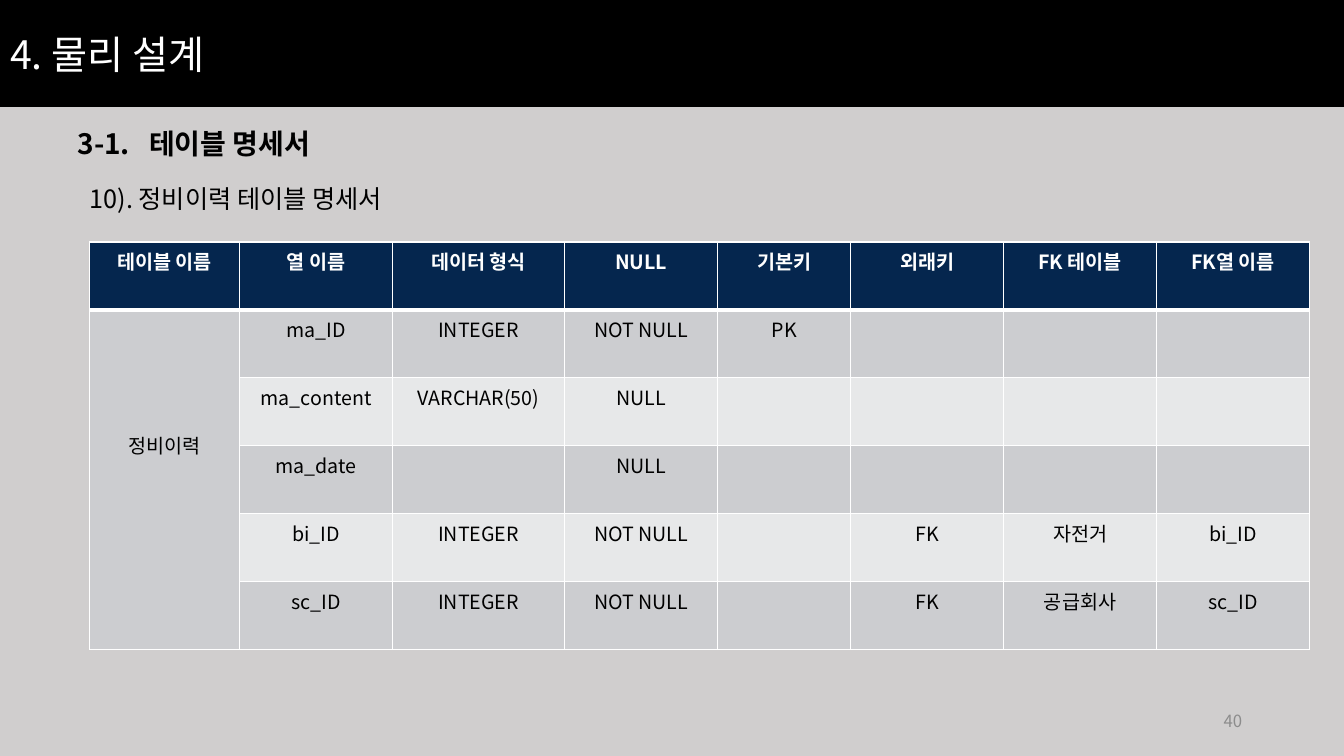
from dataclasses import dataclass

import pptx
import pptx.dml.color
import pptx.enum.text
import pptx.oxml
import pptx.oxml.ns
import pptx.util

ALIGN = pptx.enum.text.PP_ALIGN
ANCHOR = pptx.enum.text.MSO_ANCHOR


@dataclass(frozen=True)
class Theme:
    font: str = "Noto Sans CJK KR"
    background: str = "D0CECE"
    banner: str = "000000"
    ink: str = "000000"
    light: str = "FFFFFF"
    muted: str = "8C8C8C"
    header: str = "05264E"
    bands: tuple = ("CCCDD0", "E7E8E9")
    title_size: int = 28
    section_size: int = 20
    topic_size: int = 18
    table_size: int = 14
    number_size: int = 12


THEME = Theme()


def rgb(code):
    return pptx.dml.color.RGBColor.from_string(code)


def paint(target, color):
    target.fill.solid()
    target.fill.fore_color.rgb = rgb(color)


def write(frame, text, size, color=THEME.ink, bold=False, align=ALIGN.LEFT, tab=None):
    paragraph = frame.paragraphs[0]
    paragraph.alignment = align
    if tab:
        stops = pptx.oxml.ns.qn("a:tabLst")
        tab_list = paragraph._p.get_or_add_pPr().makeelement(stops, {})
        paragraph._p.get_or_add_pPr().append(tab_list)
        stop = tab_list.makeelement(
            pptx.oxml.ns.qn("a:tab"), {"pos": str(pptx.util.Inches(tab)), "algn": "l"})
        tab_list.append(stop)
    run = paragraph.add_run()
    run.text = text
    run.font.size = pptx.util.Pt(size)
    run.font.bold = bold
    run.font.color.rgb = rgb(color)
    run.font.name = THEME.font
    properties = run._r.get_or_add_rPr()
    east_asian = properties.makeelement(
        pptx.oxml.ns.qn("a:ea"), {"typeface": THEME.font})
    properties.find(pptx.oxml.ns.qn("a:latin")).addnext(east_asian)


def outline(cell, color, bottom=1):
    properties = cell._tc.get_or_add_tcPr()
    widths = {"lnL": 1, "lnR": 1, "lnT": 1, "lnB": bottom}
    for position, (side, width) in enumerate(widths.items()):
        properties.insert(position, pptx.oxml.parse_xml(
            f'<a:{side} {pptx.oxml.ns.nsdecls("a")} w="{pptx.util.Pt(width)}">'
            f'<a:solidFill><a:srgbClr val="{color}"/></a:solidFill></a:{side}>'))


class Page:
    def __init__(self, deck, theme):
        self.theme = theme
        self.width, self.height = deck.slide_width, deck.slide_height
        self.slide = deck.slides.add_slide(deck.slide_layouts[5])
        paint(self.slide.background, theme.background)

    def box(self, left, top, width, height):
        return (int(self.width * left / 100), int(self.height * top / 100),
                int(self.width * width / 100), int(self.height * height / 100))

    def title(self, text, *area):
        banner = self.slide.shapes.title
        banner.left, banner.top, banner.width, banner.height = self.box(*area)
        paint(banner, self.theme.banner)
        banner.text_frame.vertical_anchor = ANCHOR.MIDDLE
        write(banner.text_frame, text, self.theme.title_size, self.theme.light)

    def text(self, text, size, *area, anchor=ANCHOR.TOP, **style):
        frame = self.slide.shapes.add_textbox(*self.box(*area)).text_frame
        frame.word_wrap = True
        frame.vertical_anchor = anchor
        write(frame, text, size, **style)

    def table(self, headings, records, weights, *area):
        left, top, width, height = self.box(*area)
        row_count = len(records) + 1
        grid = self.slide.shapes.add_table(
            row_count, len(headings), left, top, width, height).table
        for column, weight in zip(grid.columns, weights):
            column.width = int(width * weight / sum(weights))
        for row in grid.rows:
            row.height = height // row_count
        for r, values in enumerate([headings, *records]):
            heading = r == 0
            fill = self.theme.header if heading else self.theme.bands[(r - 1) % 2]
            for c, value in enumerate(values):
                cell = grid.cell(r, c)
                paint(cell, fill)
                outline(cell, self.theme.light, bottom=3 if heading else 1)
                if value:
                    write(cell.text_frame, value, self.theme.table_size,
                          self.theme.light if heading else self.theme.ink,
                          bold=heading, align=ALIGN.CENTER)
        return grid


def main():
    deck = pptx.Presentation()
    deck.slide_width = pptx.util.Inches(13.33)
    deck.slide_height = pptx.util.Inches(7.5)
    page = Page(deck, THEME)

    page.title("4. 물리 설계", 0, 0, 100, 14.13)
    page.text("3-1.\t테이블 명세서", THEME.section_size,
              5.03, 16.13, 19.43, 5.87, bold=True, tab=0.71)
    page.text("10). 정비이력 테이블 명세서", THEME.topic_size, 5.93, 23.6, 25.66, 5.33)

    headings = ["테이블 이름", "열 이름", "데이터 형식", "NULL",
                "기본키", "외래키", "FK 테이블", "FK열 이름"]
    records = [
        ["정비이력", "ma_ID", "INTEGER", "NOT NULL", "PK", "", "", ""],
        ["", "ma_content", "VARCHAR(50)", "NULL", "", "", "", ""],
        ["", "ma_date", "", "NULL", "", "", "", ""],
        ["", "bi_ID", "INTEGER", "NOT NULL", "", "FK", "자전거", "bi_ID"],
        ["", "sc_ID", "INTEGER", "NOT NULL", "", "FK", "공급회사", "sc_ID"],
    ]
    weights = [1.49, 1.52, 1.71, 1.52, 1.32, 1.52, 1.52, 1.52]
    specification = page.table(headings, records, weights, 6.66, 32, 90.8, 53.9)
    table_name = specification.cell(1, 0)
    table_name.merge(specification.cell(len(records), 0))
    table_name.margin_top = pptx.util.Inches(1.2)

    page.text("40", THEME.number_size, 70.67, 92.67, 22.5, 5.33,
              anchor=ANCHOR.MIDDLE, color=THEME.muted, align=ALIGN.RIGHT)
    deck.save("out.pptx")


if __name__ == "__main__":
    main()
